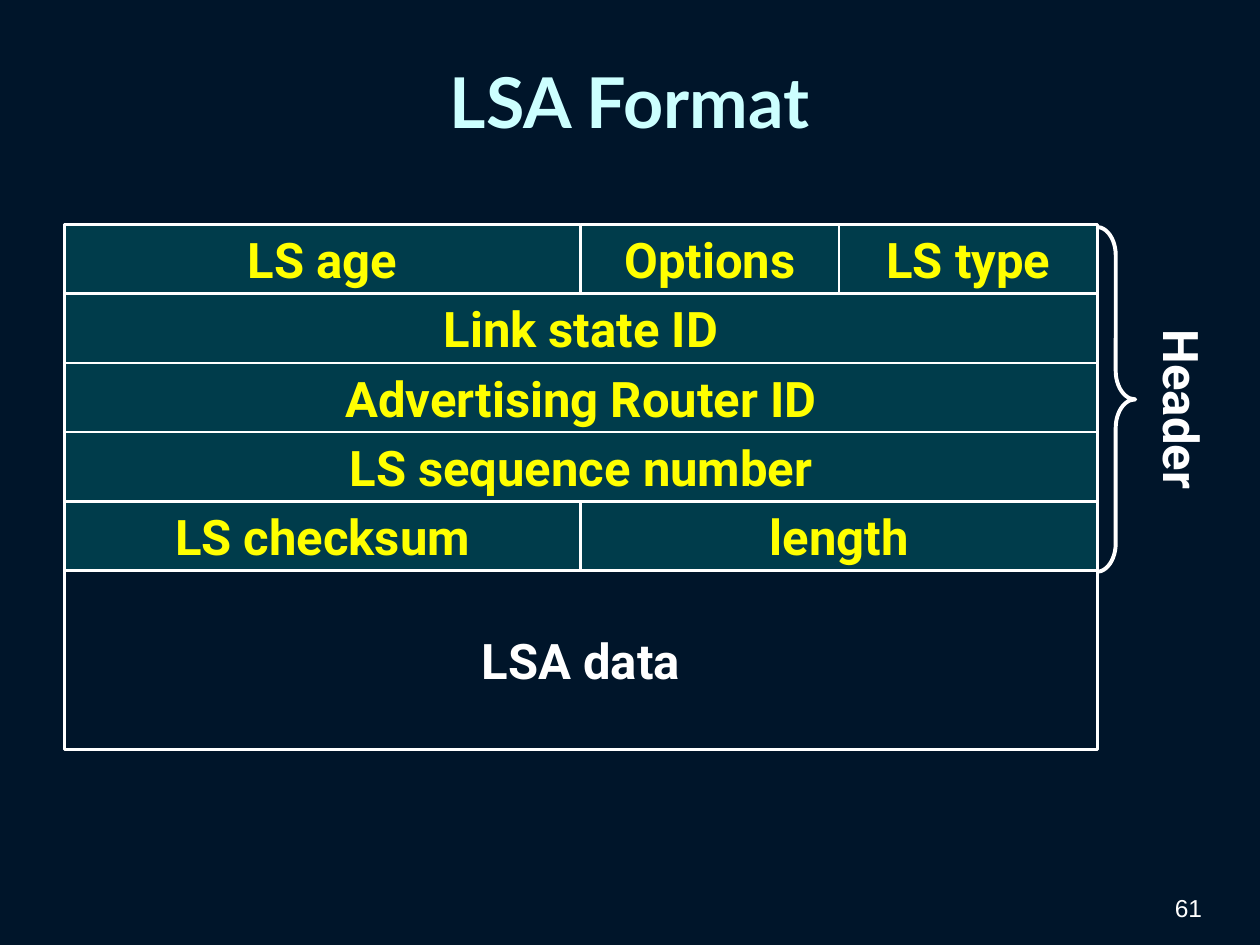
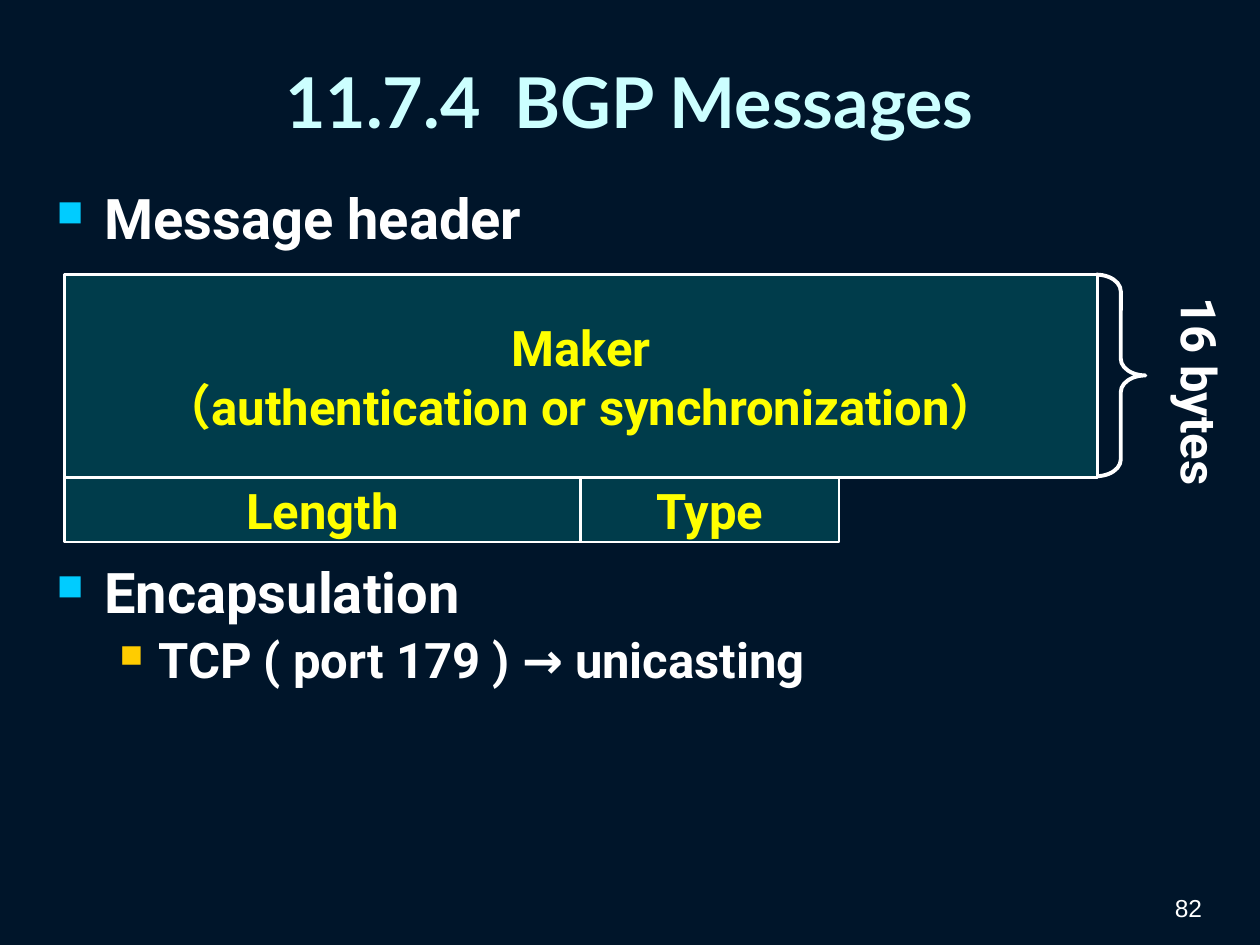
import dataclasses

import lxml.etree
import pptx
import pptx.dml.color
import pptx.enum.shapes
import pptx.enum.text
import pptx.oxml.ns
import pptx.util

ALIGN = pptx.enum.text.PP_ALIGN
ANCHOR = pptx.enum.text.MSO_ANCHOR
SHAPE = pptx.enum.shapes.MSO_SHAPE


@dataclasses.dataclass(frozen=True)
class Theme:
    background: str = "00152A"
    title: str = "CCFFFF"
    text: str = "FFFFFF"
    field_text: str = "FFFF00"
    field_fill: str = "009999"
    field_opacity: int = 30
    bullets: tuple = ("00CCFF", "FFCC00")
    bullet_sizes: tuple = (32, 28)
    title_size: int = 40
    label_size: int = 28
    number_size: int = 14
    title_font: str = "Lato"
    body_font: str = "Roboto"
    number_font: str = "Arial"
    field_line: float = 1.5
    brace_line: float = 2.25


@dataclasses.dataclass(frozen=True)
class Grid:
    """Origin and cell size in inches; areas are column, row, columns, rows."""
    left: float
    top: float
    column: float
    row: float

    def area(self, column, row, columns, rows):
        inches = (self.left + column * self.column, self.top + row * self.row,
                  columns * self.column, rows * self.row)
        return [pptx.util.Inches(length) for length in inches]


PAGE = Grid(0, 0, 0.1, 0.1)


def assign(target, values):
    for name, value in values.items():
        setattr(target, name, value)


def add_xml(parent, tag, **attributes):
    return lxml.etree.SubElement(parent, pptx.oxml.ns.qn(tag), attributes)


class Deck:
    def __init__(self, theme):
        self.theme = theme
        self.presentation = pptx.Presentation()
        assign(self.presentation, {"slide_width": pptx.util.Inches(10),
                                   "slide_height": pptx.util.Inches(7.5)})
        self.slide = None

    # Slide with its shared title and page number
    def start(self, title, number):
        theme = self.theme
        self.slide = self.presentation.slides.add_slide(
            self.presentation.slide_layouts[6])
        self.paint(self.slide.background.fill, theme.background)
        self.text(PAGE.area(73.1, 69, 23.3, 4.7), number, theme.number_size,
                  theme.text, theme.number_font, bold=False,
                  align=ALIGN.RIGHT, anchor=ANCHOR.BOTTOM)
        self.text(PAGE.area(3.5, 1.3, 92.9, 13.4), title, theme.title_size,
                  theme.title, theme.title_font, anchor=ANCHOR.MIDDLE)

    def paint(self, fill, color):
        fill.solid()
        fill.fore_color.rgb = pptx.dml.color.RGBColor.from_string(color)

    def add_words(self, paragraph, words, size, color, font, bold=True):
        run = paragraph.add_run()
        run.text = words
        assign(run.font, {"size": pptx.util.Pt(size), "name": font, "bold": bold})
        self.paint(run.font.fill, color)

    def fill_frame(self, frame, words, size, color, font, bold=True,
                   align=ALIGN.CENTER, anchor=ANCHOR.TOP, wrap=True):
        assign(frame, {"word_wrap": wrap, "vertical_anchor": anchor})
        for index, line in enumerate(words.split("\n")):
            paragraph = frame.add_paragraph() if index else frame.paragraphs[0]
            paragraph.alignment = align
            self.add_words(paragraph, line, size, color, font, bold)

    def text(self, area, words, size, color, font, **layout):
        box = self.slide.shapes.add_textbox(*area)
        self.fill_frame(box.text_frame, words, size, color, font, **layout)
        return box

    def outline(self, kind, area, width):
        shape = self.slide.shapes.add_shape(kind, *area)
        shape.shadow.inherit = False
        shape.fill.background()
        self.paint(shape.line.fill, self.theme.text)
        shape.line.width = pptx.util.Pt(width)
        return shape

    # Message field: tinted for header fields, clear for payload
    def field(self, area, words, tinted=True):
        theme = self.theme
        cell = self.outline(SHAPE.RECTANGLE, area, theme.field_line)
        if tinted:
            self.paint(cell.fill, theme.field_fill)
            color = cell.fill._xPr.find(".//" + pptx.oxml.ns.qn("a:srgbClr"))
            add_xml(color, "a:alpha", val=str(theme.field_opacity * 1000))
        self.fill_frame(cell.text_frame, words, theme.label_size,
                        theme.field_text if tinted else theme.text,
                        theme.body_font, anchor=ANCHOR.MIDDLE, wrap=False)

    # Brace with a caption turned to read downwards
    def brace(self, area, bend, caption, caption_area):
        brace = self.outline(SHAPE.RIGHT_BRACE, area, self.theme.brace_line)
        brace.adjustments[0] = bend
        label = self.text(caption_area, caption, self.theme.label_size,
                          self.theme.text, self.theme.body_font, wrap=False)
        label.text_frame.auto_size = pptx.enum.text.MSO_AUTO_SIZE.SHAPE_TO_FIT_TEXT
        label.text_frame._txBody.bodyPr.set("vert", "eaVert")

    # Bulleted list: (level, space before in points, words)
    def bullets(self, area, items):
        theme = self.theme
        frame = self.slide.shapes.add_textbox(*area).text_frame
        frame.word_wrap = True
        indents = ((0.38, -0.38), (0.81, -0.31))
        for index, (level, space, words) in enumerate(items):
            paragraph = frame.add_paragraph() if index else frame.paragraphs[0]
            assign(paragraph, {"level": level, "line_spacing": 0.9,
                               "space_before": pptx.util.Pt(space)})
            properties = paragraph._p.get_or_add_pPr()
            for name, inches in zip(("marL", "indent"), indents[level]):
                properties.set(name, str(pptx.util.Inches(inches)))
            add_xml(add_xml(properties, "a:buClr"), "a:srgbClr",
                    val=theme.bullets[level])
            add_xml(properties, "a:buSzPct", val="65000")
            add_xml(properties, "a:buChar", char="■")
            self.add_words(paragraph, words, theme.bullet_sizes[level],
                           theme.text, theme.body_font)


def lsa_format(deck):
    deck.start("LSA Format", "61")
    grid = Grid(0.51, 1.78, 2.05, 0.55)
    deck.brace(PAGE.area(87, 18, 3.1, 27.4), 0.73,
               "Header", PAGE.area(90, 25.2, 6.7, 13.1))
    deck.field(grid.area(0, 5, 4, 2.58), "LSA data", tinted=False)
    header_rows = (
        (("LS age", 2), ("Options", 1), ("LS type", 1)),
        (("Link state ID", 4),),
        (("Advertising Router ID", 4),),
        (("LS sequence number", 4),),
        (("LS checksum", 2), ("length", 2)),
    )
    for row, fields in enumerate(header_rows):
        column = 0
        for words, columns in fields:
            deck.field(grid.area(column, row, columns, 1), words)
            column += columns


def bgp_messages(deck):
    deck.start("11.7.4  BGP Messages", "82")
    deck.bullets(PAGE.area(3.5, 14.7, 92.9, 54.3), (
        (0, 0, "Message header"),
        (0, 179, "Encapsulation"),
        (1, 6, "TCP ( port 179 ) → unicasting"),
    ))
    # Message header: marker above length and type
    marker_rows = 3.16
    grid = Grid(0.51, 2.18, 2.05, 0.51)
    deck.field(grid.area(2, marker_rows, 1, 1), "Type")
    deck.field(grid.area(0, 0, 4, marker_rows),
               "Maker\n（authentication or synchronization）")
    deck.field(grid.area(0, marker_rows, 2, 1), "Length")
    deck.brace(PAGE.area(87, 21.8, 3.9, 16), 0.34,
               "16 bytes", PAGE.area(91.4, 22.6, 6.7, 15.4))


def main():
    deck = Deck(Theme())
    lsa_format(deck)
    bgp_messages(deck)
    deck.presentation.save("out.pptx")


if __name__ == "__main__":
    main()
